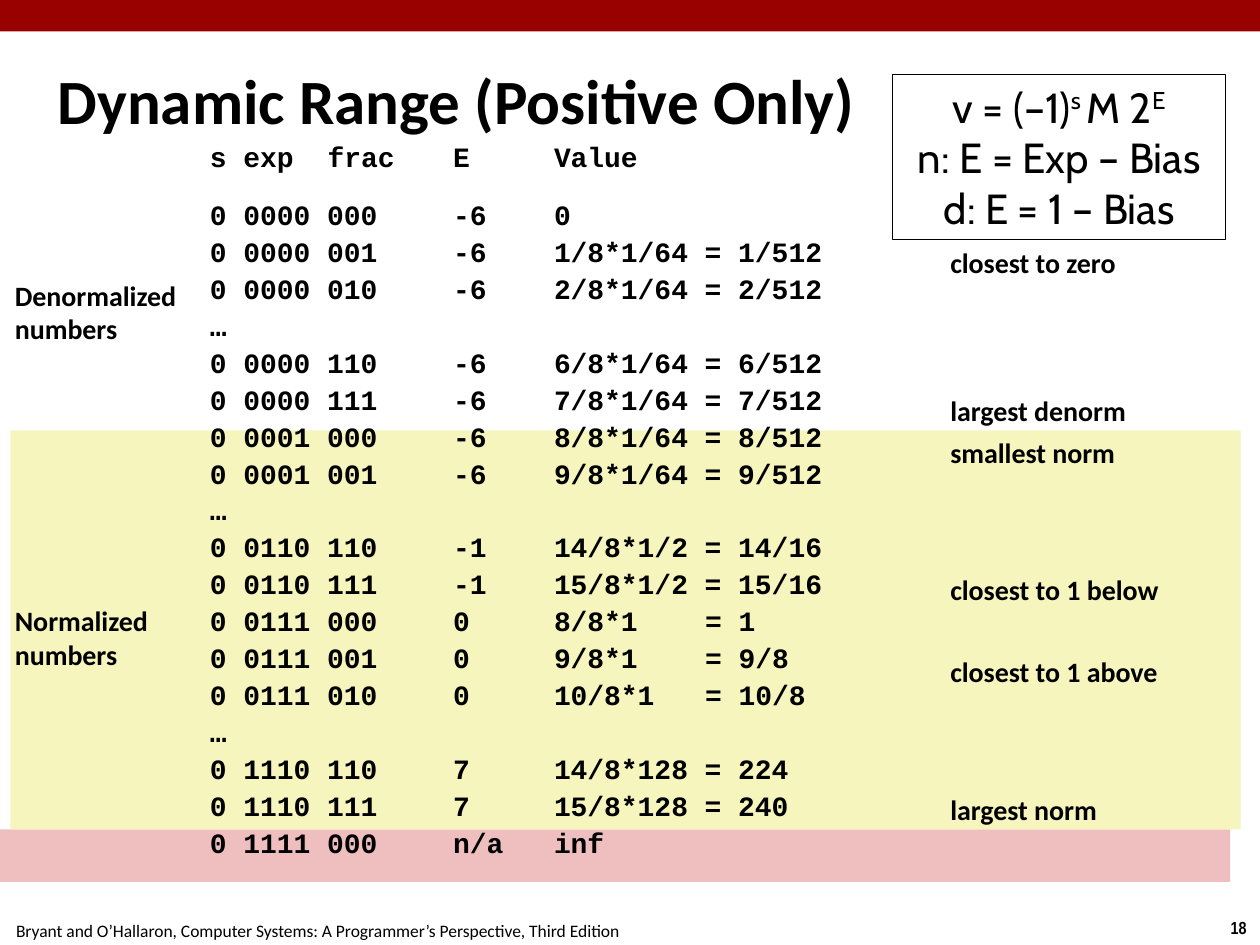
import pptx
import pptx.util
import pptx.dml.color
import pptx.enum.shapes
import pptx.enum.text
import pptx.oxml.ns
import lxml.etree

Pt = pptx.util.Pt
RGB = pptx.dml.color.RGBColor
ALIGN = pptx.enum.text.PP_ALIGN
MID = pptx.enum.text.MSO_ANCHOR.MIDDLE
TOP = pptx.enum.text.MSO_ANCHOR.TOP

BLACK = RGB(0x00, 0x00, 0x00)
RED = RGB(0x99, 0x00, 0x00)
PINK = RGB(0xEF, 0xBF, 0xBF)
CREAM = RGB(0xF6, 0xF5, 0xBD)

STOPS = (67.2, 139, 196.6, 283)
ROWS = (
    "s exp\tfrac\tE\tValue",
    "0 0000 000\t-6\t0",
    "0 0000 001\t-6\t1/8*1/64 = 1/512",
    "0 0000 010\t-6\t2/8*1/64 = 2/512",
    "…",
    "0 0000 110\t-6\t6/8*1/64 = 6/512",
    "0 0000 111\t-6\t7/8*1/64 = 7/512",
    "0 0001 000\t-6\t8/8*1/64 = 8/512",
    "0 0001 001\t-6\t9/8*1/64 = 9/512",
    "…",
    "0 0110 110\t-1\t14/8*1/2 = 14/16",
    "0 0110 111\t-1\t15/8*1/2 = 15/16",
    "0 0111 000\t0\t8/8*1\t= 1",
    "0 0111 001\t0\t9/8*1\t= 9/8",
    "0 0111 010\t0\t10/8*1\t= 10/8",
    "…",
    "0 1110 110\t7\t14/8*128 = 224",
    "0 1110 111\t7\t15/8*128 = 240",
    "0 1111 000\tn/a\tinf",
)
NOTES = (
    ("closest to zero", 137.5),
    ("largest denorm", 222),
    ("smallest norm", 246),
    ("closest to 1 below", 324),
    ("closest to 1 above", 371),
    ("largest norm", 450),
)
KINDS = (("Denormalized", 156), ("Normalized", 342))


def add_tabs(para, stops):
    """Give a paragraph left tab stops, in points."""
    tabs = lxml.etree.SubElement(
        para._p.get_or_add_pPr(), pptx.oxml.ns.qn("a:tabLst"))
    for stop in stops:
        lxml.etree.SubElement(tabs, pptx.oxml.ns.qn("a:tab"),
                              pos=str(int(Pt(stop))), algn="l")


def put_text(shape, lines, size=16, font="Calibri", bold=True,
             align=ALIGN.LEFT, anchor=TOP, pad=(3, 3), wrap=False,
             stops=(), space=None):
    """Fill a shape with lines; parts between carets are raised."""
    frame = shape.text_frame
    frame.word_wrap = wrap
    frame.vertical_anchor = anchor
    frame.margin_left = frame.margin_right = Pt(pad[0])
    frame.margin_top = frame.margin_bottom = Pt(pad[1])
    for num, line in enumerate(lines):
        para = frame.paragraphs[0] if num == 0 else frame.add_paragraph()
        if stops:
            add_tabs(para, stops)
        para.alignment = align
        para.line_spacing = space
        for part, text in enumerate(line.split("^")):
            run = para.add_run()
            run.text = text
            run.font.name = font
            run.font.size = Pt(size)
            run.font.bold = bold
            run.font.color.rgb = BLACK
            if part % 2:
                run._r.get_or_add_rPr().set("baseline", "32000")
    return frame


def add_text(slide, box, lines, **style):
    """Add a text box and fill it."""
    shape = slide.shapes.add_textbox(*map(Pt, box))
    return put_text(shape, lines, **style)


def add_rect(slide, box, fill=None):
    """Add a plain rectangle, filled or with a thin black outline."""
    shape = slide.shapes.add_shape(
        pptx.enum.shapes.MSO_SHAPE.RECTANGLE, *map(Pt, box))
    shape.shadow.inherit = False
    if fill is None:
        shape.fill.background()
        shape.line.color.rgb = BLACK
        shape.line.width = Pt(0.75)
    else:
        shape.fill.solid()
        shape.fill.fore_color.rgb = fill
        shape.line.fill.background()
    return shape


def add_frame(slide, box):
    """Add the top bar, footer and page number."""
    left, top, width, height = box
    add_rect(slide, (left, top, width, 18), RED)
    base = top + height
    style = dict(size=10, align=ALIGN.CENTER, pad=(7.2, 3.6))
    add_text(slide, (left, base - 18, 363, 18),
             ["Bryant and O’Hallaron, Computer Systems: "
              "A Programmer’s Perspective, Third Edition"],
             bold=False, **style)
    add_text(slide, (left + width - 24.5, base - 19.5, 24.5, 19.5),
             ["18"], font="Arial Narrow", **style)


def add_title(slide, box):
    """Place and format the title."""
    title = slide.shapes.title
    title.left, title.top, title.width, title.height = map(Pt, box)
    put_text(title, ["Dynamic Range (Positive Only)"],
             size=36, anchor=MID, wrap=True)


def add_range(slide, box):
    """Add the value listing with its bands and side labels."""
    left, top, width, height = box
    add_rect(slide, (left, top + 396, 703, 30), PINK)
    add_rect(slide, (left + 6, top + 168, 703, 228), CREAM)
    frame = add_text(slide, (left + 120, top, 366, height), ROWS,
                     font="Courier New", pad=(0, 0), wrap=True,
                     stops=STOPS, space=1.1)
    frame.paragraphs[1].space_before = Pt(12)
    for note, dist in NOTES:
        add_text(slide, (left + 540, dist, 146, 25), [note])
    for kind, dist in KINDS:
        add_text(slide, (left + 5.5, dist, 112, 45), [kind, "numbers"])


def add_rules(slide, box):
    """Add the boxed formulas."""
    put_text(add_rect(slide, box),
             ["v = (–1)^s ^M 2^E", "n: E = Exp – Bias", "d: E = 1 – Bias"],
             size=24, font="Cabin", bold=False, align=ALIGN.CENTER,
             anchor=MID, pad=(7.2, 3.6), wrap=True)


def main():
    """Build and save the slide."""
    deck = pptx.Presentation()
    deck.slide_width, deck.slide_height = Pt(720), Pt(540)
    slide = deck.slides.add_slide(deck.slide_layouts[5])
    add_frame(slide, (0, 0, 720, 540))
    add_range(slide, (0, 78, 720, 438))
    add_title(slide, (30, 20, 660, 73))
    add_rules(slide, (510, 42.5, 190.5, 94.5))
    deck.save("out.pptx")


if __name__ == "__main__":
    main()
